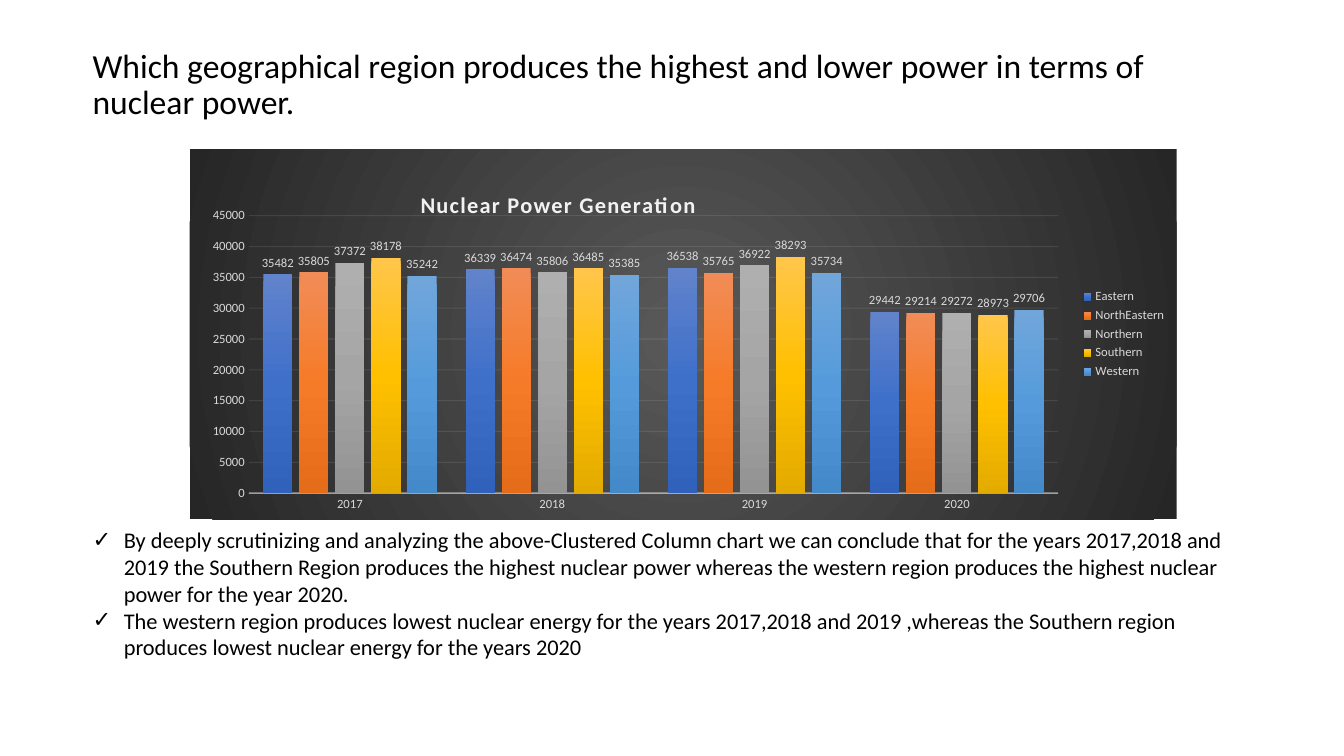
from lxml.etree import SubElement
from pptx import Presentation
from pptx.chart.data import CategoryChartData as ChartData
from pptx.dml.color import RGBColor
from pptx.enum.chart import XL_CHART_TYPE as ChartKind
from pptx.enum.chart import XL_LABEL_POSITION as LabelSpot
from pptx.enum.chart import XL_LEGEND_POSITION as LegendSpot
from pptx.enum.chart import XL_TICK_MARK as TickMark
from pptx.enum.text import MSO_ANCHOR as Anchor
from pptx.oxml import parse_xml
from pptx.oxml.ns import nsdecls, qn
from pptx.util import Inches, Pt

FONT = "Calibri"
COLORS = {"text": "000000", "label": "D9D9D9", "light": "F2F2F2"}
BACKDROP = ["595959", "262626"]
YEARS = ["2017", "2018", "2019", "2020"]
REGIONS = {
    "Eastern": ([35482, 36339, 36538, 29442], ["6183CB", "3E70CA", "3062BB"]),
    "NorthEastern": ([35805, 36474, 35765, 29214], ["F18C57", "F67B28", "E56C19"]),
    "Northern": ([37372, 35806, 36922, 29272], ["AFAFAF", "A5A5A5", "939393"]),
    "Southern": ([38178, 36485, 38293, 28973], ["FFC64B", "FFC000", "E3AB00"]),
    "Western": ([35242, 35385, 35734, 29706], ["71A6DB", "559BDB", "448ACA"]),
}
HEADING = (
    "Which geographical region produces the highest and lower power "
    "in terms of nuclear power."
)
FINDINGS = [
    "By deeply scrutinizing and analyzing the above-Clustered Column chart we can "
    "conclude that for the years 2017,2018 and 2019 the Southern Region produces the "
    "highest nuclear power whereas the western region produces the highest nuclear "
    "power for the year 2020.",
    "The western region produces lowest nuclear energy for the years 2017,2018 and "
    "2019 ,whereas the Southern region produces lowest nuclear energy for the years 2020",
]


def style_font(font, size, color, bold=False):
    """Set the typeface, size, colour and weight of a font."""
    font.name, font.size, font.bold = FONT, Pt(size), bold
    font.color.rgb = RGBColor.from_string(COLORS[color])


def add_bullet(para, mark, indent):
    """Give a paragraph a hanging bullet."""
    props = para._p.get_or_add_pPr()
    props.set("marL", str(Inches(indent)))
    props.set("indent", str(-Inches(indent)))
    SubElement(props, qn("a:buFont"), typeface=FONT)
    SubElement(props, qn("a:buChar"), char=mark)


def add_text(page, texts, left, top, width, height, *, size,
             anchor=Anchor.TOP, spacing=1.0, bullet=None):
    """Add a wrapped text box with one paragraph per text."""
    box = page.shapes.add_textbox(
        Inches(left), Inches(top), Inches(width), Inches(height))
    frame = box.text_frame
    frame.word_wrap, frame.vertical_anchor = True, anchor
    for index, text in enumerate(texts):
        para = frame.add_paragraph() if index else frame.paragraphs[0]
        para.line_spacing = spacing
        span = para.add_run()
        span.text = text
        style_font(span.font, size, "text")
        if bullet:
            add_bullet(para, bullet, 0.31)


def gradient(colors, radial=False):
    """Build a gradient fill with evenly spaced stops."""
    step = 100000 // (len(colors) - 1)
    stops = "".join(
        f'<a:gs pos="{index * step}"><a:srgbClr val="{color}"/></a:gs>'
        for index, color in enumerate(colors))
    center = '<a:fillToRect l="50000" t="50000" r="50000" b="50000"/>'
    shade = (f'<a:path path="circle">{center}</a:path>' if radial
             else '<a:lin ang="5400000" scaled="0"/>')
    return parse_xml(
        f'<a:gradFill {nsdecls("a")} rotWithShape="1">'
        f"<a:gsLst>{stops}</a:gsLst>{shade}</a:gradFill>")


def set_layout(parent, index, **fractions):
    """Place a chart part by fractions of the chart area."""
    for old in parent.findall(qn("c:layout")):
        parent.remove(old)
    layout = parse_xml(f'<c:layout {nsdecls("c")}><c:manualLayout/></c:layout>')
    manual = layout[0]
    if "w" in fractions:
        SubElement(manual, qn("c:layoutTarget"), val="inner")
    for mode in ("xMode", "yMode"):
        SubElement(manual, qn(f"c:{mode}"), val="edge")
    for name, value in fractions.items():
        SubElement(manual, qn(f"c:{name}"), val=str(value))
    parent.insert(index, layout)


def style_line(line, owner, width, opacity):
    """Draw a translucent light line on an axis or its gridlines."""
    line.width = Pt(width)
    line.color.rgb = RGBColor.from_string(COLORS["light"])
    color = owner.xpath("./c:spPr/a:ln//a:srgbClr")[0]
    SubElement(color, qn("a:alpha"), val=str(opacity * 1000))


def style_axes(chart):
    """Format both axes and the gridlines."""
    years, output = chart.category_axis, chart.value_axis
    for axis in (years, output):
        axis.major_tick_mark = axis.minor_tick_mark = TickMark.NONE
        style_font(axis.tick_labels.font, 9, "label")
    style_line(years.format.line, years._element, 1, 54)
    output.minimum_scale, output.maximum_scale, output.major_unit = 0, 45000, 5000
    output.format.line.fill.background()
    grid = output.major_gridlines.format.line
    style_line(grid, output._element.find(qn("c:majorGridlines")), 0.75, 10)


def style_title(chart, text):
    """Add a spaced bold chart title above the columns."""
    frame = chart.chart_title.text_frame
    span = frame.paragraphs[0].add_run()
    span.text = text
    style_font(span.font, 16, "light", bold=True)
    span.font._element.set("spc", "100")
    set_layout(chart.chart_title._element, 1, x=0.23, y=0.1)


def add_power_chart(page):
    """Add the clustered columns of power by region and year."""
    data = ChartData(number_format="General")
    data.categories = YEARS
    for region, (values, _) in REGIONS.items():
        data.add_series(region, values)
    chart = page.shapes.add_chart(
        ChartKind.COLUMN_CLUSTERED, Inches(1.88), Inches(1.48),
        Inches(9.79), Inches(3.67), data).chart
    style_font(chart.font, 10, "text")
    area = parse_xml(f'<c:spPr {nsdecls("c", "a")}><a:ln><a:noFill/></a:ln></c:spPr>')
    area.insert(0, gradient(BACKDROP, radial=True))
    chart._chartSpace.find(qn("c:txPr")).addprevious(area)
    style_title(chart, "Nuclear Power Generation")
    style_axes(chart)
    plot = chart.plots[0]
    plot.gap_width, plot.overlap, plot.vary_by_categories = 100, -24, False
    plot.has_data_labels = True
    labels = plot.data_labels
    labels.show_value, labels.position = True, LabelSpot.OUTSIDE_END
    style_font(labels.font, 9, "label")
    for series in plot.series:
        series._element.get_or_add_spPr().append(gradient(REGIONS[series.name][1]))
    chart.has_legend = True
    chart.legend.position, chart.legend.include_in_layout = LegendSpot.RIGHT, False
    style_font(chart.legend.font, 9, "label")
    set_layout(chart._chartSpace.chart.plotArea, 0, x=0.06, y=0.18, w=0.82, h=0.75)


def main():
    """Build the slide and save it."""
    deck = Presentation()
    deck.slide_width, deck.slide_height = Inches(13.33), Inches(7.5)
    page = deck.slides.add_slide(deck.slide_layouts[6])
    add_text(page, [HEADING], 0.82, 0.4, 11.5, 0.9,
             size=24, anchor=Anchor.MIDDLE, spacing=0.9)
    add_power_chart(page)
    add_text(page, FINDINGS, 0.82, 5.17, 11.5, 1.81, size=16, bullet="✓")
    deck.save("out.pptx")


if __name__ == "__main__":
    main()
